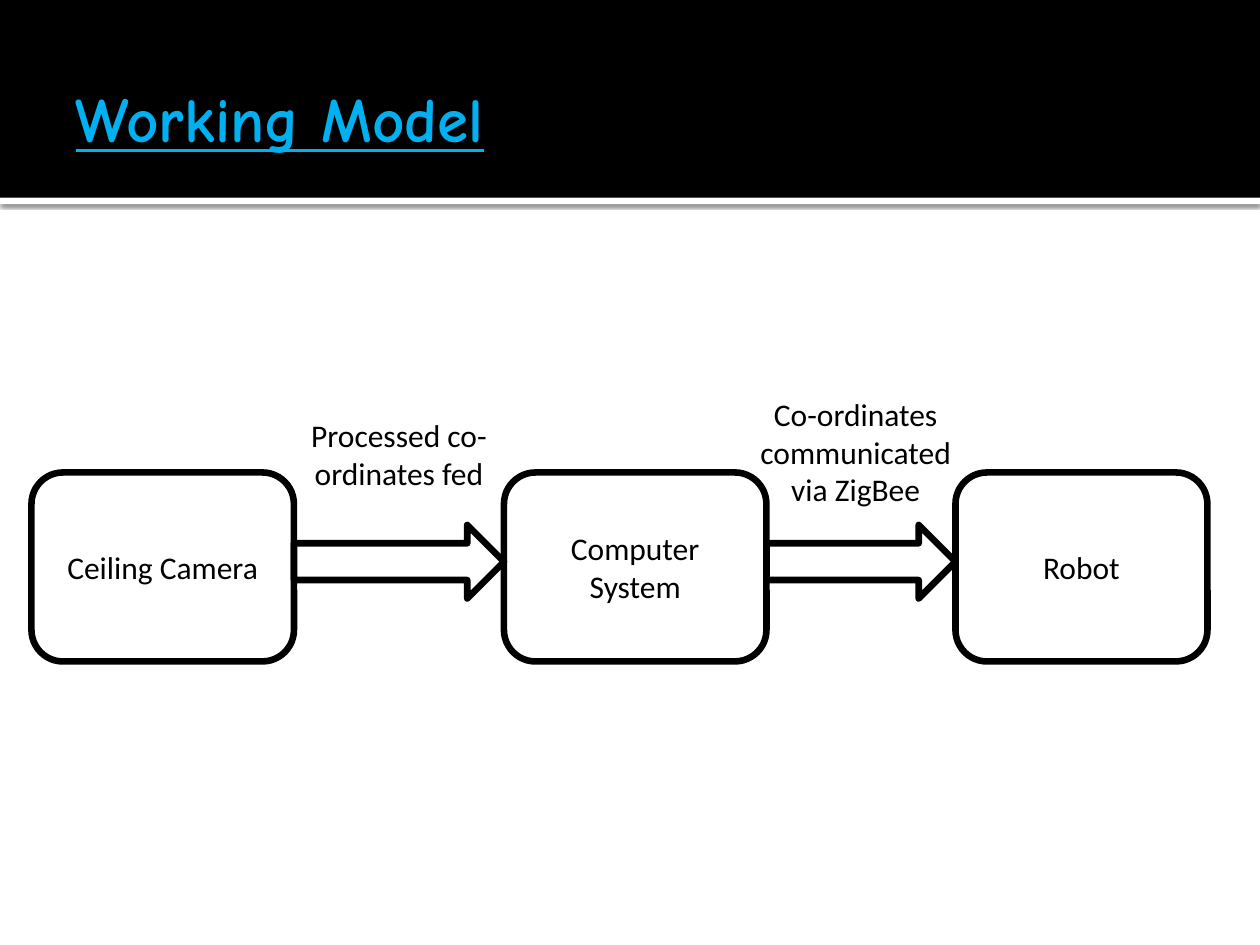
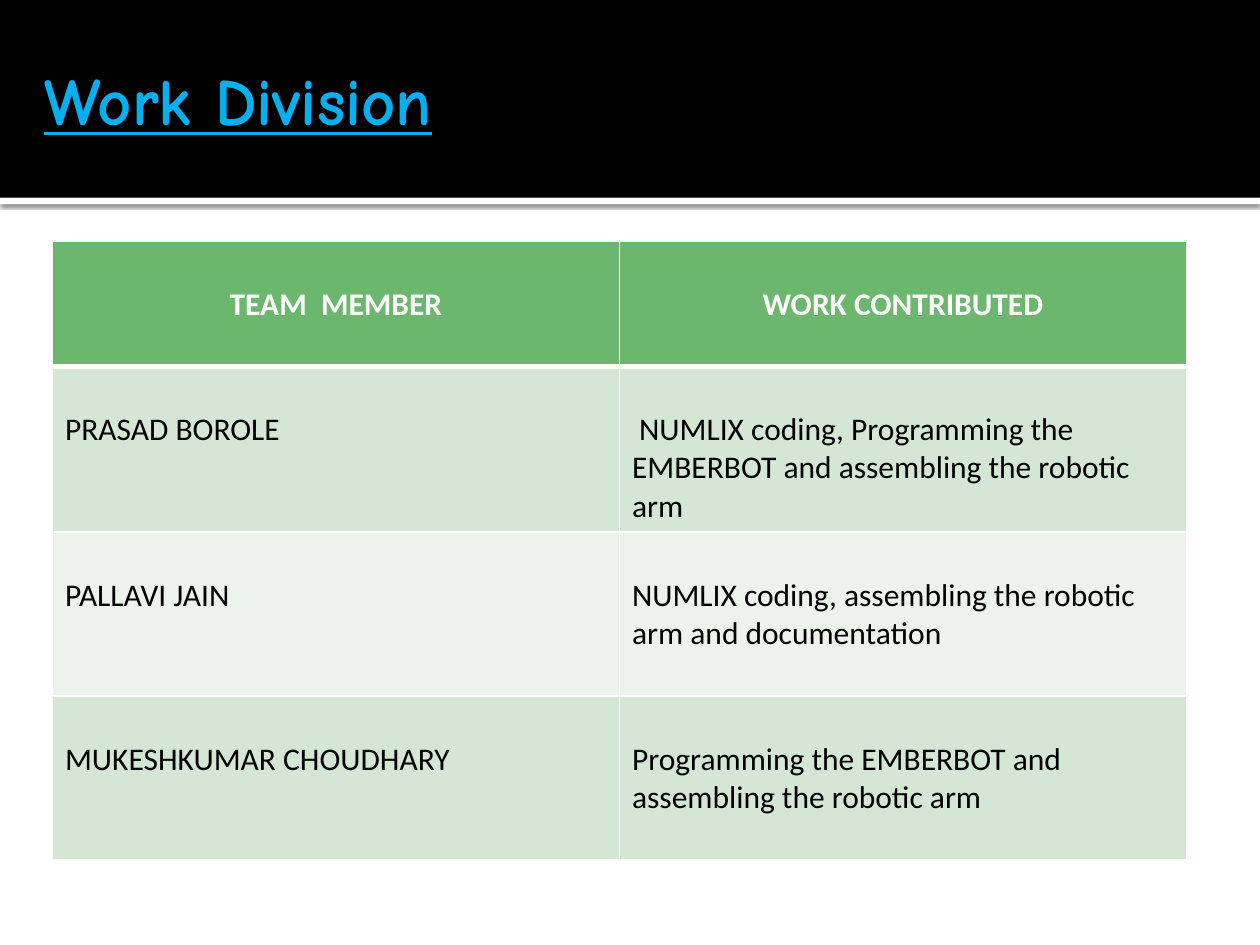
from dataclasses import dataclass

from lxml import etree
from pptx import Presentation
from pptx import util as u
from pptx.dml.color import RGBColor
from pptx.enum import shapes, text
from pptx.oxml import ns

BLACK = RGBColor(0x00, 0x00, 0x00)
WHITE = RGBColor(0xFF, 0xFF, 0xFF)
SKY = RGBColor(0x00, 0xB0, 0xF0)
GREEN = RGBColor(0x6B, 0xB7, 0x6D)
PALE_GREENS = (RGBColor(0xD4, 0xE6, 0xD4), RGBColor(0xEB, 0xF3, 0xEB))
BODY_FONT, TITLE_FONT = "Calibri", "Comic Neue"
BODY_SIZE = 18
OUTLINE = u.Pt(3.78)

# The slide is a grid of 120 columns by 90 rows.
SLIDE_WIDTH, SLIDE_HEIGHT = u.Inches(10), u.Inches(7.5)
COLUMNS, ROWS = 120, 90
BAND_ROWS, STRIPE_ROWS = 18.84, 0.6
HEADER_ROWS, MEMBER_ROWS = 11.9, 15.6


@dataclass(frozen=True)
class Area:
    """A rectangle in grid columns and rows."""
    left: float
    top: float
    width: float
    height: float

    def emu(self) -> tuple[int, int, int, int]:
        return (columns(self.left), rows(self.top),
                columns(self.width), rows(self.height))


@dataclass(frozen=True)
class Label:
    words: str
    area: Area


def columns(count: float) -> int:
    return round(SLIDE_WIDTH * count / COLUMNS)


def rows(count: float) -> int:
    return round(SLIDE_HEIGHT * count / ROWS)


STAGES = (
    Label("Ceiling Camera", Area(3, 45, 25, 18)),
    Label("Computer System", Area(48, 45, 25, 18)),
    Label("Robot", Area(91, 45, 24, 18)),
)
TRANSFERS = (
    Label("Processed co-ordinates fed", Area(28, 39, 20, 8.5)),
    Label("Co-ordinates communicated via ZigBee", Area(70, 37, 23, 12.1)),
)
ARROW_TOP, ARROW_HEIGHT = 50, 7

TABLE_AREA = Area(5, 23, 108, HEADER_ROWS + 3 * MEMBER_ROWS)
WORK_ROWS = (
    ("TEAM  MEMBER", "WORK CONTRIBUTED"),
    ("PRASAD BOROLE",
     " NUMLIX coding, Programming the EMBERBOT and assembling the robotic arm"),
    ("PALLAVI JAIN",
     "NUMLIX coding, assembling the robotic arm and documentation"),
    ("MUKESHKUMAR CHOUDHARY",
     "Programming the EMBERBOT and assembling the robotic arm"),
)


def write(frame, words: str, align=text.PP_ALIGN.CENTER, color=BLACK,
          size: float = BODY_SIZE, name: str = BODY_FONT, bold: bool = False,
          underline: bool = False) -> None:
    frame.text = words
    para = frame.paragraphs[0]
    para.alignment = align
    font = para.font
    font.name, font.size, font.color.rgb = name, u.Pt(size), color
    font.bold, font.underline = bold, underline


def add_block(page, kind, area: Area, fill, outline=None):
    block = page.shapes.add_shape(kind, *area.emu())
    block.shadow.inherit = False
    block.fill.solid()
    block.fill.fore_color.rgb = fill
    if outline is None:
        block.line.fill.background()
    else:
        block.line.color.rgb = outline
        block.line.width = OUTLINE
    return block


def add_drop_shadow(block) -> None:
    effects = block.element.spPr.find(ns.qn("a:effectLst"))
    shadow = etree.SubElement(
        effects, ns.qn("a:outerShdw"), blurRad=str(u.Pt(2.5)),
        dist=str(u.Pt(0.8)), dir="5400000", algn="t", rotWithShape="0")
    color = etree.SubElement(shadow, ns.qn("a:srgbClr"), val=str(BLACK))
    etree.SubElement(color, ns.qn("a:alpha"), val="60000")


def dress_layout(page) -> None:
    """Draw the title band on the page and move it to the page's layout."""
    kind = shapes.MSO_SHAPE.RECTANGLE
    band = add_block(page, kind, Area(0, 0, COLUMNS, BAND_ROWS), BLACK)
    stripe = add_block(
        page, kind, Area(0, BAND_ROWS, COLUMNS, STRIPE_ROWS), WHITE)
    add_drop_shadow(stripe)
    for block in (band, stripe):
        page.slide_layout.shapes.element.insert(2, block.element)


def add_page(deck, title: str, area: Area, size: float):
    page = deck.slides.add_slide(deck.slide_layouts.get_by_name("Title Only"))
    box = page.shapes.title
    box.left, box.top, box.width, box.height = area.emu()
    frame = box.text_frame
    frame.auto_size = text.MSO_AUTO_SIZE.NONE
    frame.vertical_anchor = text.MSO_ANCHOR.TOP
    write(frame, title, text.PP_ALIGN.LEFT, SKY, size, TITLE_FONT,
          bold=True, underline=True)
    return page


def draw_working_model(page) -> None:
    for stage in STAGES:
        box = add_block(page, shapes.MSO_SHAPE.ROUNDED_RECTANGLE,
                        stage.area, WHITE, BLACK)
        box.text_frame.word_wrap = True
        write(box.text_frame, stage.words)
    for source, target in zip(STAGES, STAGES[1:]):
        start = source.area.left + source.area.width
        gap = target.area.left - start
        add_block(page, shapes.MSO_SHAPE.RIGHT_ARROW,
                  Area(start, ARROW_TOP, gap, ARROW_HEIGHT), WHITE, BLACK)
    for transfer in TRANSFERS:
        box = page.shapes.add_textbox(*transfer.area.emu())
        box.text_frame.word_wrap = True
        write(box.text_frame, transfer.words)


def set_borders(cell, top: float, bottom: float) -> None:
    properties = cell._tc.get_or_add_tcPr()
    for side, width in (("L", 1), ("R", 1), ("T", top), ("B", bottom)):
        line = etree.SubElement(
            properties, ns.qn(f"a:ln{side}"), w=str(u.Pt(width)))
        fill = etree.SubElement(line, ns.qn("a:solidFill"))
        etree.SubElement(fill, ns.qn("a:srgbClr"), val=str(WHITE))


def draw_work_table(page) -> None:
    table = page.shapes.add_table(
        len(WORK_ROWS), len(WORK_ROWS[0]), *TABLE_AREA.emu()).table
    for number, entries in enumerate(WORK_ROWS):
        header = number == 0
        table.rows[number].height = rows(HEADER_ROWS if header else MEMBER_ROWS)
        for cell, words in zip(table.rows[number].cells, entries):
            set_borders(cell, top=3 if number == 1 else 1,
                        bottom=3 if header else 1)
            cell.fill.solid()
            cell.fill.fore_color.rgb = (
                GREEN if header else PALE_GREENS[(number - 1) % 2])
            cell.margin_top = u.Inches(0.35)
            if header:
                write(cell.text_frame, words, color=WHITE, bold=True)
            else:
                write(cell.text_frame, words, text.PP_ALIGN.LEFT)


def main() -> None:
    deck = Presentation()
    deck.slide_width, deck.slide_height = SLIDE_WIDTH, SLIDE_HEIGHT
    model = add_page(deck, "Working Model", Area(6, 7, 49, 8.5), 36)
    dress_layout(model)
    draw_working_model(model)
    division = add_page(deck, "Work Division", Area(3, 5, 66, 8.9), 38)
    draw_work_table(division)
    deck.save("out.pptx")


if __name__ == "__main__":
    main()
